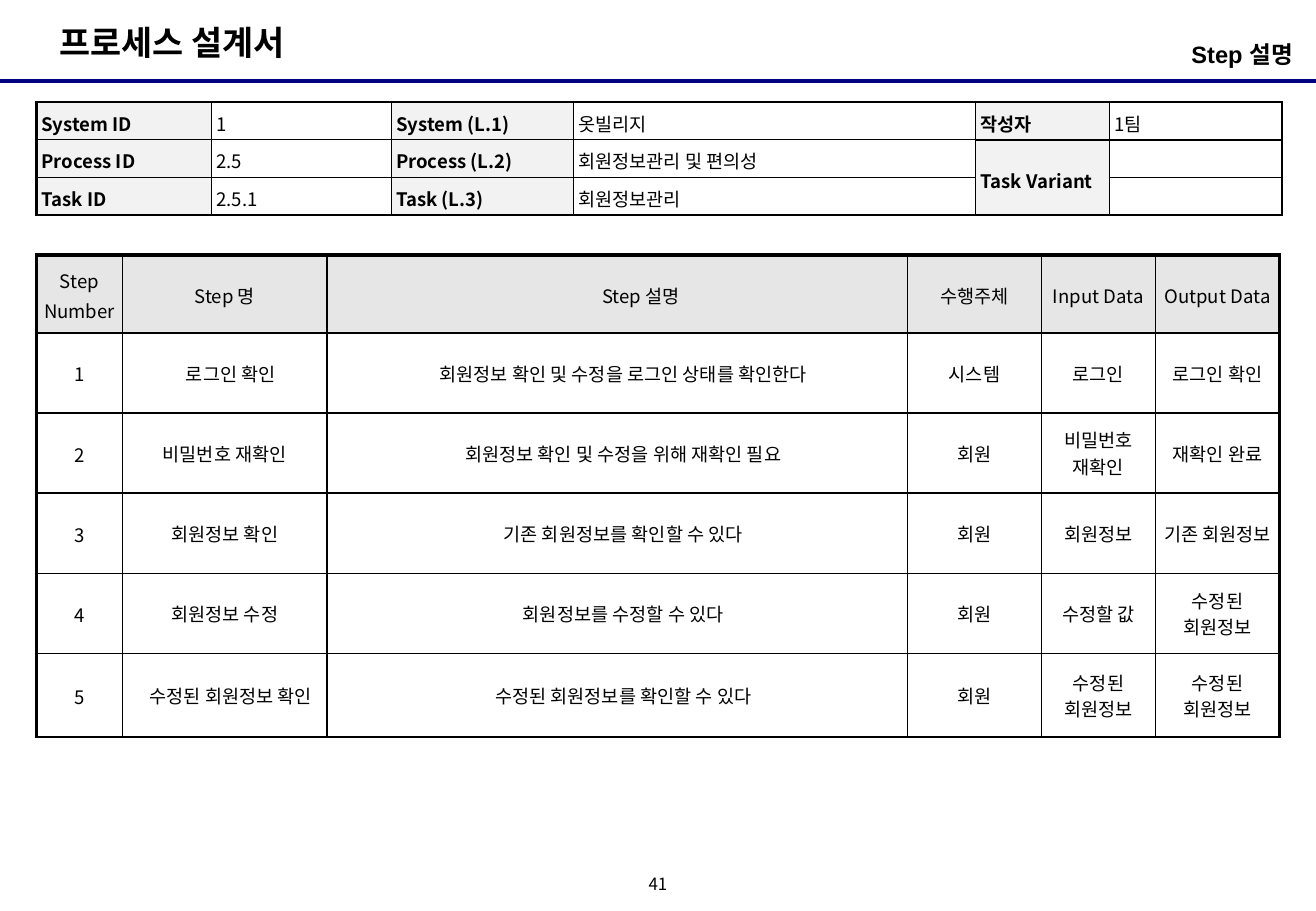
from lxml.etree import SubElement
from pptx import Presentation
from pptx.dml.color import RGBColor
from pptx.enum.shapes import MSO_CONNECTOR
from pptx.enum.text import MSO_ANCHOR, PP_ALIGN
from pptx.oxml.ns import qn
from pptx.util import Inches, Pt

NOTO, ARIAL = "Noto Sans CJK KR", "Arial"
BLACK = RGBColor(0x00, 0x00, 0x00)
NAVY = RGBColor(0x00, 0x00, 0x80)
LABEL_GRAY = RGBColor(0xF2, 0xF2, 0xF2)
HEADER_GRAY = RGBColor(0xE6, 0xE6, 0xE6)

SYSTEM_ROWS = [
    ["System ID", "1", "System (L.1)", "옷빌리지", "작성자", "1팀"],
    ["Process ID", "2.5", "Process (L.2)", "회원정보관리 및 편의성", "Task Variant", ""],
    ["Task ID", "2.5.1", "Task (L.3)", "회원정보관리", "", ""],
]
SYSTEM_WIDTHS = [1.44, 1.48, 1.5, 3.31, 1.1, 1.42]
SYSTEM_HEIGHTS = [0.31, 0.31, 0.31]

STEP_ROWS = [
    ["Step Number", "Step 명", "Step 설명", "수행주체", "Input Data", "Output Data"],
    ["1", "로그인 확인", "회원정보 확인 및 수정을 로그인 상태를 확인한다", "시스템", "로그인", "로그인 확인"],
    ["2", "비밀번호 재확인", "회원정보 확인 및 수정을 위해 재확인 필요", "회원", "비밀번호 재확인", "재확인 완료"],
    ["3", "회원정보 확인", "기존 회원정보를 확인할 수 있다", "회원", "회원정보", "기존 회원정보"],
    ["4", "회원정보 수정", "회원정보를 수정할 수 있다", "회원", "수정할 값", "수정된 회원정보"],
    ["5", "수정된 회원정보 확인", "수정된 회원정보를 확인할 수 있다", "회원", "수정된 회원정보", "수정된 회원정보"],
]
STEP_WIDTHS = [0.71, 1.68, 4.78, 1.1, 0.94, 1.02]
STEP_HEIGHTS = [0.64, 0.66, 0.66, 0.66, 0.66, 0.69]
STEP_ARIAL_CELLS = {(2, 1), (3, 1), (3, 2), (4, 1)}
STEP_INDENTS = {(0, 2): 0.39, (1, 1): 0.1, (5, 1): 0.1}
STEP_INDENTS.update({(row, 2): 0.1 for row in range(1, 6)})


def write(frame, text, size, font=NOTO, bold=False, align=PP_ALIGN.LEFT, spacing=None, indent=0):
    para = frame.paragraphs[0]
    para.text = text
    para.alignment = align
    if spacing:
        para.line_spacing = spacing
    if indent:
        para._p.get_or_add_pPr().set("marL", str(Inches(indent)))
    para.font.size = Pt(size)
    para.font.bold = bold
    para.font.color.rgb = BLACK
    para.font.name = font
    defaults = para._p.pPr.find(qn("a:defRPr"))
    SubElement(defaults, qn("a:ea")).set("typeface", NOTO)


def add_text(page, place, text, size, margins, wrap=False, anchor=MSO_ANCHOR.TOP, **style):
    box = page.shapes.add_textbox(*(Inches(value) for value in place))
    frame = box.text_frame
    frame.word_wrap = wrap
    frame.vertical_anchor = anchor
    set_margins(frame, margins)
    write(frame, text, size, **style)


def set_margins(holder, margins):
    (holder.margin_left, holder.margin_top,
     holder.margin_right, holder.margin_bottom) = (Inches(value) for value in margins)


def set_borders(cell, widths):
    """Draw the left, right, top and bottom borders with widths in points."""
    properties = cell._tc.get_or_add_tcPr()
    for side, width in zip("LRTB", widths):
        line = SubElement(properties, qn(f"a:ln{side}"), w=str(Pt(width)))
        fill = SubElement(line, qn("a:solidFill"))
        SubElement(fill, qn("a:srgbClr"), val=str(BLACK))


def add_grid(page, left, top, widths, heights, borders):
    """Add an unstyled table; borders(row, column) gives the border widths."""
    table = page.shapes.add_table(
        len(heights), len(widths), Inches(left), Inches(top),
        Inches(sum(widths)), Inches(sum(heights))).table
    table.first_row = table.horz_banding = False
    for column, width in zip(table.columns, widths):
        column.width = Inches(width)
    for r, height in enumerate(heights):
        table.rows[r].height = Inches(height)
        for c in range(len(widths)):
            set_borders(table.cell(r, c), borders(r, c))
    return table


def fill_cell(cell, text, color, margins, anchor, **style):
    if color:
        cell.fill.solid()
        cell.fill.fore_color.rgb = color
    else:
        cell.fill.background()
    set_margins(cell, margins)
    cell.vertical_anchor = anchor
    write(cell.text_frame, text, 11, **style)


def system_borders(row, column):
    author_side = column >= 4
    return (1.5 if column == 0 else 1,
            1.5 if column == 5 else 1,
            1.5 if row == 0 or (author_side and row == 1) else 1,
            1.5 if row == 2 or (author_side and row == 0) else 1)


def step_borders(row, column):
    return (2.25 if column == 0 else 1, 2.25 if column == 5 else 1,
            2.25 if row == 0 else 1, 1)


def add_system_table(page):
    table = add_grid(page, 0.3, 0.84, SYSTEM_WIDTHS, SYSTEM_HEIGHTS, system_borders)
    table.cell(1, 4).merge(table.cell(2, 4))
    for r, row in enumerate(SYSTEM_ROWS):
        for c, text in enumerate(row):
            is_label = c % 2 == 0
            fill_cell(table.cell(r, c), text, LABEL_GRAY if is_label else None,
                      (0.04, 0.04, 0.04, 0.02),
                      MSO_ANCHOR.MIDDLE if c >= 4 else MSO_ANCHOR.TOP,
                      bold=is_label, spacing=1.1)


def add_step_table(page):
    table = add_grid(page, 0.3, 2.1, STEP_WIDTHS, STEP_HEIGHTS, step_borders)
    for r, row in enumerate(STEP_ROWS):
        for c, text in enumerate(row):
            is_spaced = r == 0 or (c == 0 and r > 1)
            fill_cell(table.cell(r, c), text, HEADER_GRAY if r == 0 else None,
                      (0.06, 0.04, 0.06, 0.04), MSO_ANCHOR.MIDDLE,
                      font=ARIAL if (r, c) in STEP_ARIAL_CELLS else NOTO,
                      align=PP_ALIGN.CENTER, spacing=1.1 if is_spaced else None,
                      indent=STEP_INDENTS.get((r, c), 0))


def main():
    deck = Presentation()
    deck.slide_width, deck.slide_height = Inches(10.83), Inches(7.5)
    page = deck.slides.add_slide(deck.slide_layouts[6])

    rule = page.shapes.add_connector(
        MSO_CONNECTOR.STRAIGHT, 0, Inches(0.67), deck.slide_width, Inches(0.67))
    rule.line.color.rgb = NAVY
    rule.line.width = Pt(2.25)
    SubElement(rule._element.spPr, qn("a:effectLst"))

    add_text(page, (0.39, 0.13, 2.26, 0.44), "프로세스 설계서", 20,
             (0.1, 0.05, 0.1, 0.05), bold=True)
    add_text(page, (5.25, 7.17, 0.33, 0.25), "41", 10, (0, 0, 0, 0),
             anchor=MSO_ANCHOR.MIDDLE, align=PP_ALIGN.CENTER, spacing=0.8)
    add_system_table(page)
    add_step_table(page)
    add_text(page, (7.39, 0.28, 3.31, 0.39), "Step 설명", 14, (0, 0.05, 0.06, 0.05),
             wrap=True, font=ARIAL, bold=True, align=PP_ALIGN.RIGHT)
    deck.save("out.pptx")


if __name__ == "__main__":
    main()
